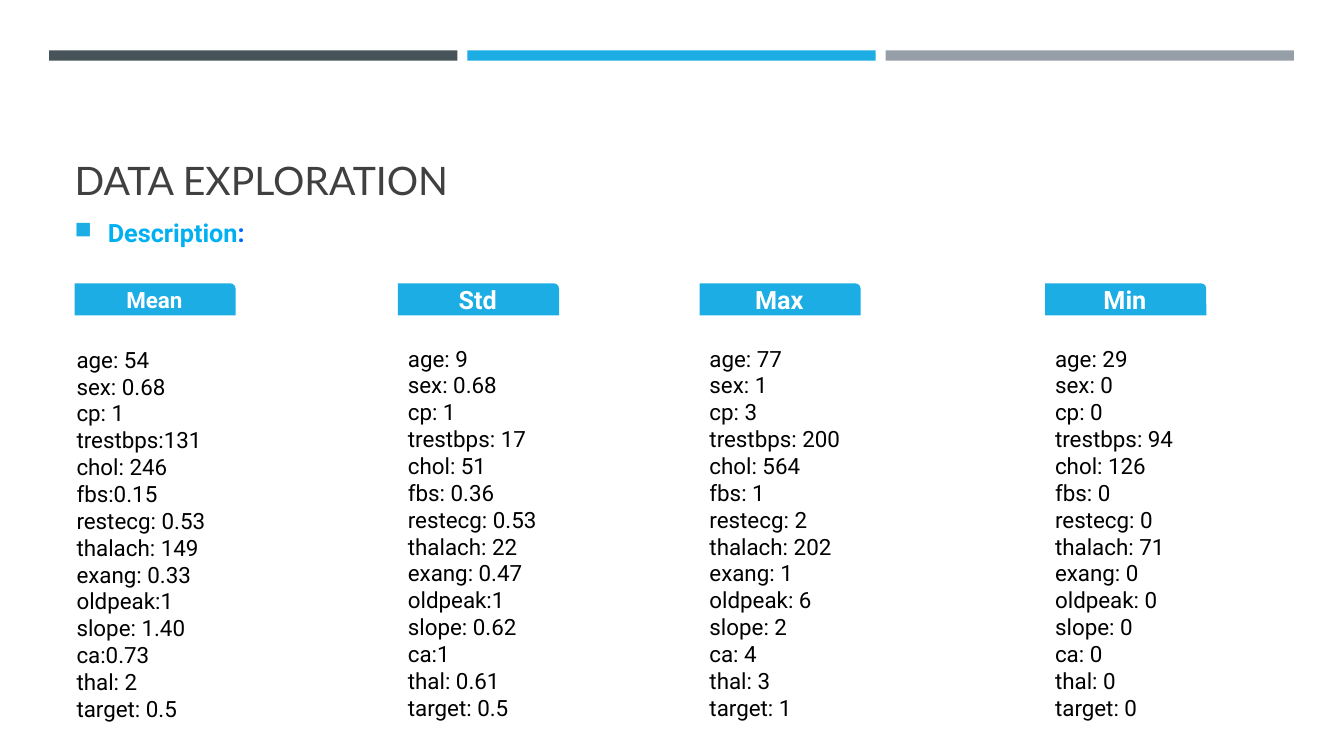
from lxml import etree
from pptx import Presentation
from pptx.dml.color import RGBColor
from pptx.enum.shapes import MSO_SHAPE
from pptx.enum.text import MSO_ANCHOR, PP_ALIGN
from pptx.oxml.ns import qn
from pptx.util import Cm, Pt

RECT = MSO_SHAPE.RECTANGLE
TAB = MSO_SHAPE.ROUND_1_RECTANGLE
TOP, MIDDLE, BOTTOM = MSO_ANCHOR.TOP, MSO_ANCHOR.MIDDLE, MSO_ANCHOR.BOTTOM
CENTER = PP_ALIGN.CENTER
BLUE = "1CADE4"

STATS = [
    ("Mean", 16, (1.88, 7.14, 4.06, 0.81), (1.68, 8.59, 5.41, 10.19),
     ["age: 54", "sex: 0.68", "cp: 1", "trestbps:131", "chol: 246",
      "fbs:0.15", "restecg: 0.53", "thalach: 149", "exang: 0.33",
      "oldpeak:1", "slope: 1.40", "ca:0.73", "thal: 2", "target: 0.5"]),
    ("Std", 18, (10.03, 7.14, 4.06, 0.81), (10.03, 8.56, 6.35, 9.83),
     ["age: 9", "sex: 0.68", "cp: 1", "trestbps: 17", "chol: 51",
      "fbs: 0.36", "restecg: 0.53", "thalach: 22", "exang: 0.47",
      "oldpeak:1", "slope: 0.62", "ca:1", "thal: 0.61", "target: 0.5"]),
    ("Max", 18, (17.63, 7.14, 4.06, 0.81), (17.63, 8.56, 6.35, 9.83),
     ["age: 77", "sex: 1", "cp: 3", "trestbps: 200", "chol: 564",
      "fbs: 1", "restecg: 2", "thalach: 202", "exang: 1",
      "oldpeak: 6", "slope: 2", "ca: 4", "thal: 3", "target: 1"]),
    ("Min", 18, (26.34, 7.14, 4.06, 0.81), (26.34, 8.56, 6.35, 9.83),
     ["age: 29", "sex: 0", "cp: 0", "trestbps: 94", "chol: 126",
      "fbs: 0", "restecg: 0", "thalach: 71", "exang: 0",
      "oldpeak: 0", "slope: 0", "ca: 0", "thal: 0", "target: 0"]),
]


def paint(target, tint):
    """Give a fill or font colour its hex value."""
    target.rgb = RGBColor.from_string(tint)


def style(para, size, tint, face="Roboto", bold=False):
    """Set the font of a whole paragraph."""
    font = para.font
    font.name, font.size, font.bold = face, Pt(size), bold
    paint(font.color, tint)


def add_block(slide, kind, box, tint):
    """Add a flat filled shape without outline."""
    block = slide.shapes.add_shape(kind, *map(Cm, box))
    block.shadow.inherit = False
    block.fill.solid()
    paint(block.fill.fore_color, tint)
    block.line.fill.background()
    return block


def add_text(slide, box, lines, anchor=TOP):
    """Add a wrapped text box and return its frame."""
    frame = slide.shapes.add_textbox(*map(Cm, box)).text_frame
    frame.word_wrap = True
    frame.vertical_anchor = anchor
    frame.text = "\n".join(lines)
    return frame


def add_bars(slide, box, gap):
    """Split the box into three coloured bars."""
    left, top, width, height = box
    tints = ["465359", BLUE, "969FA7"]
    part = (width - gap * (len(tints) - 1)) / len(tints)
    for i, tint in enumerate(tints):
        add_block(slide, RECT, (left + i * (part + gap), top, part, height), tint)


def add_title(slide, box):
    """Add the slide title at the foot of its box."""
    frame = add_text(slide, box, ["DATA EXPLORATION"], BOTTOM)
    style(frame.paragraphs[0], 28, "404040", "Lato")


def add_lead(slide, box):
    """Add the bulleted lead line."""
    para = add_text(slide, box, ["Description"]).paragraphs[0]
    style(para, 18, "00B0F0", bold=True)
    colon = para.add_run()
    colon.text = ":"
    paint(colon.font.color, "0068FF")
    para.line_spacing, para.space_before, para.space_after = 1.1, Pt(3.6), Pt(6)
    props = para._p.get_or_add_pPr()
    props.set("marL", str(Cm(0.84)))
    props.set("indent", str(Cm(-0.84)))
    marks = [etree.Element(qn("a:buClr")),
             etree.Element(qn("a:buSzPct"), val="92000"),
             etree.Element(qn("a:buChar"), char="■")]
    etree.SubElement(marks[0], qn("a:srgbClr"), val=BLUE)
    spot = list(props).index(props.find(qn("a:spcAft"))) + 1
    props[spot:spot] = marks


def add_stat(slide, name, size, tab, box, lines):
    """Add one statistic: its tab and its list of values."""
    frame = add_block(slide, TAB, tab, BLUE).text_frame
    frame.vertical_anchor = MIDDLE
    frame.text = name
    head = frame.paragraphs[0]
    head.alignment = CENTER
    style(head, size, "FFFFFF", bold=True)
    for para in add_text(slide, box, lines).paragraphs:
        style(para, 16, "000000")


def main():
    """Build and save the slide."""
    deck = Presentation()
    deck.slide_width, deck.slide_height = Cm(33.87), Cm(19.05)
    slide = deck.slides.add_slide(deck.slide_layouts[6])
    add_bars(slide, (1.24, 1.27, 31.37, 0.26), 0.25)
    add_title(slide, (1.63, 1.96, 30.63, 3.3))
    add_lead(slide, (1.63, 5.28, 14.02, 2.54))
    for stat in STATS:
        add_stat(slide, *stat)
    deck.save("out.pptx")


main()
